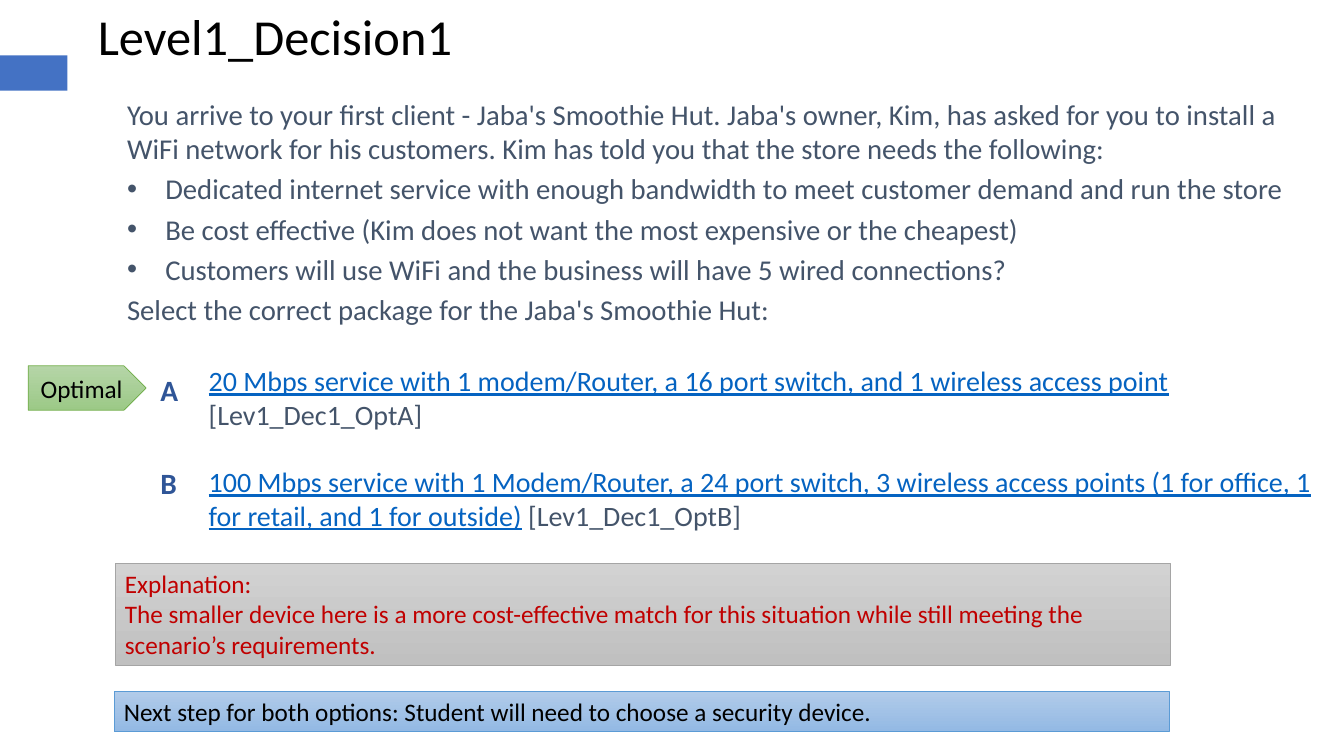
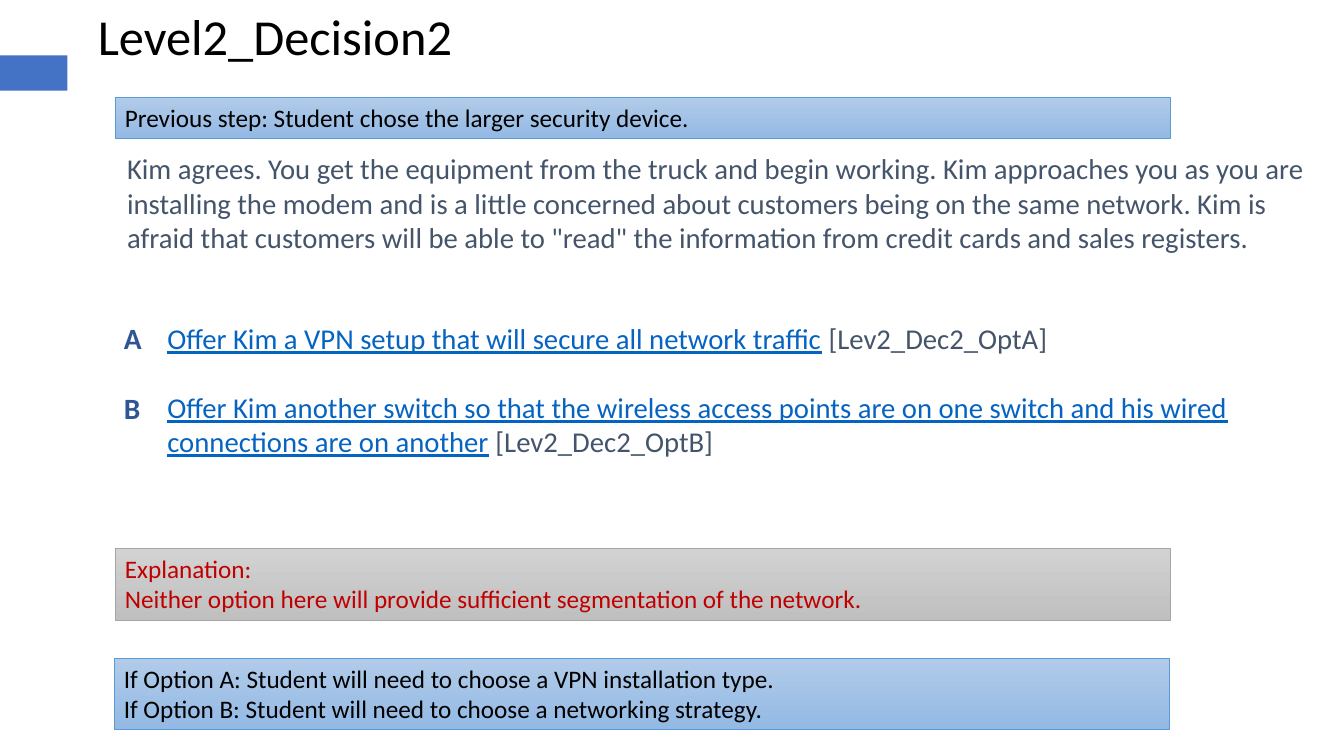
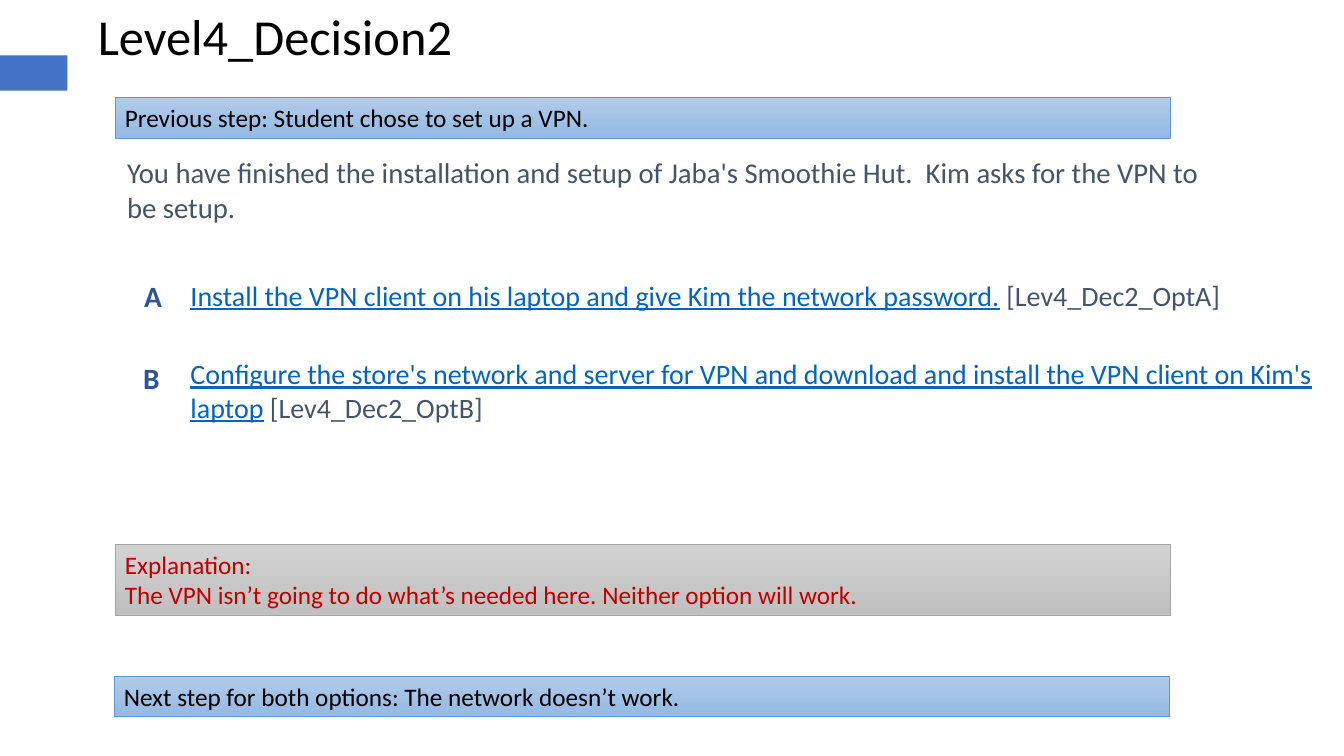
from dataclasses import dataclass

from lxml.etree import SubElement
from pptx import Presentation
from pptx.dml.color import RGBColor
from pptx.enum.shapes import MSO_SHAPE, PP_PLACEHOLDER
from pptx.enum.text import MSO_ANCHOR, MSO_AUTO_SIZE, PP_ALIGN
from pptx.oxml.ns import qn
from pptx.util import Inches, Pt


@dataclass(frozen=True)
class Theme:
    font: str = "Calibri"
    marker: str = "4472C4"
    title: tuple = (36, "000000")
    body: tuple = (20.5, "44546A")
    letter: tuple = (21, "2F5597")
    panel: tuple = (18, "000000")
    explanation: tuple = (18, "C00000")
    choice: str = "0563C1"
    code: str = "44546A"
    # Gradient top, gradient bottom, outline
    blue: tuple = ("B1CBE9", "93B9E4", "5B9BD5")
    gray: tuple = ("D2D2D2", "C0C0C0", "A5A5A5")
    green: tuple = ("B5D5A7", "9CC987", "70AD47")


theme = Theme()
WIDE_MARGINS = (0.13, 0.07)
PANEL_MARGINS = (0.1, 0.05)


def write_text(shape, paragraphs, margins, space=0, wrap=True, anchor=MSO_ANCHOR.TOP):
    """Fill a shape with paragraphs, each a list of (text, (size, color), extra font values)."""
    frame = shape.text_frame
    frame_format = {
        "auto_size": MSO_AUTO_SIZE.NONE, "word_wrap": wrap, "vertical_anchor": anchor,
        "margin_left": Inches(margins[0]), "margin_right": Inches(margins[0]),
        "margin_top": Inches(margins[1]), "margin_bottom": Inches(margins[1]),
    }
    for name, value in frame_format.items():
        setattr(frame, name, value)
    for index, runs in enumerate(paragraphs):
        paragraph = frame.add_paragraph() if index else frame.paragraphs[0]
        paragraph.alignment = PP_ALIGN.LEFT
        paragraph.space_before = Pt(space if index else 0)
        for text, (size, color), extra in runs:
            run = paragraph.add_run()
            run.text = text
            font_format = {"name": theme.font, "size": Pt(size), **extra}
            for name, value in font_format.items():
                setattr(run.font, name, value)
            run.font.color.rgb = RGBColor.from_string(color)


def add_panel(slide, preset, place, colors, lines, style):
    """Add a gradient-filled shape with one paragraph per line."""
    panel = slide.shapes.add_shape(preset, *map(Inches, place))
    panel.shadow.inherit = False
    panel.fill.gradient()
    panel.fill.gradient_angle = 270
    for stop, color in zip(panel.fill.gradient_stops, colors):
        stop.color.rgb = RGBColor.from_string(color)
    panel.line.color.rgb = RGBColor.from_string(colors[2])
    panel.line.width = Pt(0.5)
    write_text(panel, [[(line, style, {})] for line in lines], PANEL_MARGINS)
    return panel


decisions = [
    {
        "title": "Level1_Decision1",
        "body_place": (1.13, 0.89, 12.19, 2.45),
        "body": [
            "You arrive to your first client - Jaba's Smoothie Hut. Jaba's owner, Kim, has asked for "
            "you to install a WiFi network for his customers. Kim has told you that the store needs "
            "the following:",
            "Dedicated internet service with enough bandwidth to meet customer demand and run the store",
            "Be cost effective (Kim does not want the most expensive or the cheapest)",
            "Customers will use WiFi and the business will have 5 wired connections?",
            "Select the correct package for the Jaba's Smoothie Hut:",
        ],
        "bulleted": (1, 2, 3),
        "options_place": (1.94, 3.54, 11.28, 1.78),
        "option_size": 20,
        "option_gap": 23.8,
        "options": [
            ("20 Mbps service with 1 modem/Router, a 16 port switch, and 1 wireless access point",
             " [Lev1_Dec1_OptA]"),
            ("100 Mbps service with 1 Modem/Router, a 24 port switch, 3 wireless access points "
             "(1 for office, 1 for retail, and 1 for outside)", " [Lev1_Dec1_OptB]"),
        ],
        "letter_corners": [(1.46, 3.62), (1.46, 4.54)],
        "previous": None,
        "explanation_place": (1.14, 5.59, 10.47, 1.01),
        "explanation": "The smaller device here is a more cost-effective match for this situation "
                       "while still meeting the scenario’s requirements.",
        "next_place": (1.13, 6.86, 10.47, 0.4),
        "next": ["Next step for both options: Student will need to choose a security device."],
        "optimal_place": (0.28, 3.63, 1.17, 0.44),
    },
    {
        "title": "Level2_Decision2",
        "body_place": (1.13, 1.43, 12.19, 1.37),
        "body": [
            "Kim agrees. You get the equipment from the truck and begin working. Kim approaches you "
            "as you are installing the modem and is a little concerned about customers being on the "
            "same network. Kim is afraid that customers will be able to \"read\" the information from "
            "credit cards and sales registers.",
        ],
        "bulleted": (),
        "options_place": (1.53, 3.11, 11.47, 1.9),
        "option_size": 20.5,
        "option_gap": 24.8,
        "options": [
            ("Offer Kim a VPN setup that will secure all network traffic", " [Lev2_Dec2_OptA]"),
            ("Offer Kim another switch so that the wireless access points are on one switch and his "
             "wired connections are on another", " [Lev2_Dec2_OptB]"),
        ],
        "letter_corners": [(1.1, 3.11), (1.1, 3.8)],
        "previous": "Previous step: Student chose the larger security device.",
        "explanation_place": (1.14, 5.44, 10.47, 0.71),
        "explanation": "Neither option here will provide sufficient segmentation of the network.",
        "next_place": (1.13, 6.53, 10.47, 0.71),
        "next": [
            "If Option A: Student will need to choose a VPN installation type.",
            "If Option B: Student will need to choose a networking strategy.",
        ],
        "optimal_place": None,
    },
    {
        "title": "Level4_Decision2",
        "body_place": (1.13, 1.47, 10.92, 1.01),
        "body": [
            "You have finished the installation and setup of Jaba's Smoothie Hut.  Kim asks for the "
            "VPN to be setup.",
        ],
        "bulleted": (),
        "options_place": (1.76, 2.69, 11.44, 2.11),
        "option_size": 20,
        "option_gap": 32,
        "options": [
            ("Install the VPN client on his laptop and give Kim the network password.",
             " [Lev4_Dec2_OptA]"),
            ("Configure the store's network and server for VPN and download and install the VPN "
             "client on Kim's laptop", " [Lev4_Dec2_OptB]"),
        ],
        "letter_corners": [(1.3, 2.69), (1.29, 3.5)],
        "previous": "Previous step: Student chose to set up a VPN.",
        "explanation_place": (1.14, 5.4, 10.47, 0.71),
        "explanation": "The VPN isn’t going to do what’s needed here. Neither option will work.",
        "next_place": (1.13, 6.71, 10.47, 0.4),
        "next": ["Next step for both options: The network doesn’t work."],
        "optimal_place": None,
    },
]

presentation = Presentation()
presentation.slide_width = Inches(13.33)
presentation.slide_height = Inches(7.5)
master = presentation.slide_master
layout = presentation.slide_layouts[1]

# Keep only the layout in use, without date, footer and slide number
for other_layout in list(presentation.slide_layouts):
    if other_layout != layout:
        presentation.slide_layouts.remove(other_layout)
footer_types = (PP_PLACEHOLDER.DATE, PP_PLACEHOLDER.FOOTER, PP_PLACEHOLDER.SLIDE_NUMBER)
for holder in (master, layout):
    for placeholder in list(holder.placeholders):
        if placeholder.placeholder_format.type in footer_types:
            holder.shapes.element.remove(placeholder.element)

for number, decision in enumerate(decisions):
    slide = presentation.slides.add_slide(layout)

    if number == 0:
        # The side marker is drawn once and moved to the master, so every slide shows it
        marker = slide.shapes.add_shape(
            MSO_SHAPE.RECTANGLE, 0, Inches(0.55), Inches(0.67), Inches(0.35))
        marker.shadow.inherit = False
        marker.fill.solid()
        marker.fill.fore_color.rgb = RGBColor.from_string(theme.marker)
        marker.line.fill.background()
        marker.element.nvSpPr.cNvPr.set("id", "100")
        master.shapes.element.append(marker.element)

    title = slide.shapes.title
    body = slide.placeholders[1]
    for shape, place in ((title, (0.87, 0, 3.72, 0.71)), (body, decision["body_place"])):
        shape.left, shape.top, shape.width, shape.height = map(Inches, place)
    write_text(title, [[(decision["title"], theme.title, {})]], PANEL_MARGINS, wrap=False)

    write_text(body, [[(text, theme.body, {})] for text in decision["body"]],
               WIDE_MARGINS, space=4)
    for index, paragraph in enumerate(body.text_frame.paragraphs):
        bulleted = index in decision["bulleted"]
        indent = Inches(0.38) if bulleted else 0
        properties = paragraph._p.get_or_add_pPr()
        properties.set("marL", str(indent))
        properties.set("indent", str(-indent))
        if bulleted:
            SubElement(properties, qn("a:buChar")).set("char", "•")
        else:
            SubElement(properties, qn("a:buNone"))

    options = slide.shapes.add_textbox(*map(Inches, decision["options_place"]))
    size = decision["option_size"]
    write_text(
        options,
        [[(choice, (size, theme.choice), {"underline": True}), (code, (size, theme.code), {})]
         for choice, code in decision["options"]],
        WIDE_MARGINS, space=decision["option_gap"])

    for letter, corner in zip("AB", decision["letter_corners"]):
        letter_box = slide.shapes.add_textbox(*map(Inches, (*corner, 0.7, 0.5)))
        write_text(letter_box, [[(letter, theme.letter, {"bold": True})]], WIDE_MARGINS)

    if decision["previous"]:
        add_panel(slide, MSO_SHAPE.RECTANGLE, (1.14, 0.97, 10.47, 0.4), theme.blue,
                  [decision["previous"]], theme.panel)
    add_panel(slide, MSO_SHAPE.RECTANGLE, decision["explanation_place"], theme.gray,
              ["Explanation:", decision["explanation"]], theme.explanation)
    add_panel(slide, MSO_SHAPE.RECTANGLE, decision["next_place"], theme.blue,
              decision["next"], theme.panel)

    if decision["optimal_place"]:
        optimal = add_panel(slide, MSO_SHAPE.PENTAGON, decision["optimal_place"], theme.green,
                            ["Optimal"], theme.panel)
        optimal.text_frame.vertical_anchor = MSO_ANCHOR.MIDDLE
        optimal.text_frame.paragraphs[0].alignment = PP_ALIGN.CENTER

presentation.save("out.pptx")
